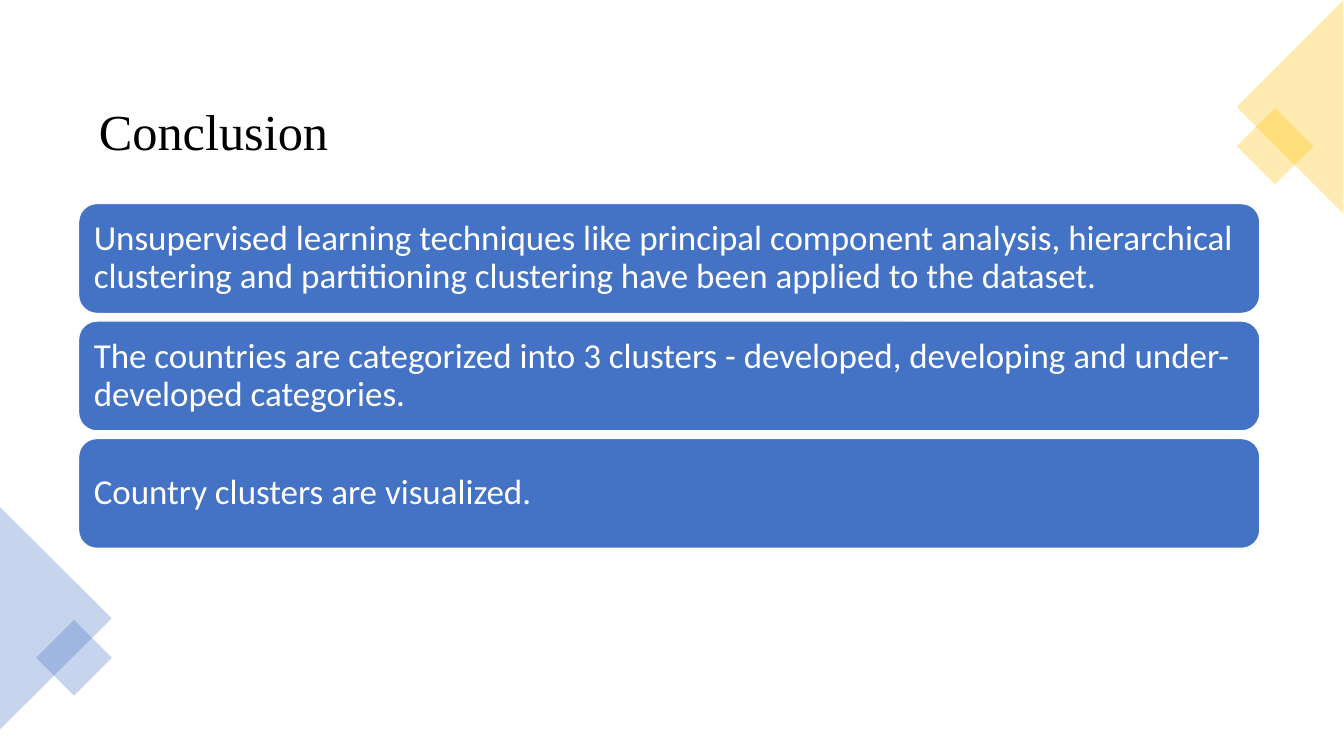
from lxml import etree
from pptx import Presentation
from pptx.dml.color import RGBColor
from pptx.enum import shapes, text
from pptx.oxml.ns import qn
from pptx.util import Cm, Pt

# Content
TITLE = "Conclusion"
POINTS = [
    "Unsupervised learning techniques like principal component analysis, "
    "hierarchical clustering and partitioning clustering have been applied to the dataset.",
    "The countries are categorized into 3 clusters - developed, developing and "
    "under-developed categories.",
    "Country clusters are visualized.",
]
COLORS = {"blue": "4472C4", "gold": "FFC000", "white": "FFFFFF", "black": "000000"}
KIND = shapes.MSO_SHAPE

# Corner decoration: shape, colour, rotation, (left, top, width, height) in cm
CORNERS = [
    (KIND.ISOSCELES_TRIANGLE, "blue", 90, (-1.4, 14.17, 5.61, 2.82)),
    (KIND.RECTANGLE, "blue", 45, (1.19, 15.9, 1.35, 1.35)),
    (KIND.RECTANGLE, "gold", 45, (31.45, 3, 1.37, 1.37)),
    (KIND.ISOSCELES_TRIANGLE, "gold", 270, (29.82, 1.35, 5.38, 2.69)),
]
CORNER_ALPHA = 30

# Stack of bars, in cm
BAR_LEFT, BAR_TOP, BAR_W, BAR_H, BAR_STEP = 1.98, 5.13, 29.77, 2.77, 2.96


def rgb(name):
    return RGBColor.from_string(COLORS[name])


def add_shape(s, kind, color, box):
    sp = s.shapes.add_shape(kind, *map(Cm, box))
    sp.shadow.inherit = False
    sp.fill.solid()
    sp.fill.fore_color.rgb = rgb(color)
    return sp


def set_text(sp, words, font, size, color):
    tf = sp.text_frame
    tf.word_wrap = True
    tf.vertical_anchor = text.MSO_ANCHOR.MIDDLE
    tf.margin_left = tf.margin_right = tf.margin_top = tf.margin_bottom = Cm(0.25)
    p = tf.paragraphs[0]
    p.text = words
    p.alignment = text.PP_ALIGN.LEFT
    p.line_spacing = 0.9
    p.font.name, p.font.size, p.font.color.rgb = font, Pt(size), rgb(color)


prs = Presentation()
prs.slide_width, prs.slide_height = Cm(33.87), Cm(19.05)
s = prs.slides.add_slide(prs.slide_layouts[6])

# Title
title = s.shapes.add_textbox(Cm(2.24), Cm(2.34), Cm(30.28), Cm(2.06))
set_text(title, TITLE, "Times New Roman", 36, "black")

# Translucent corners
for kind, color, rotation, box in CORNERS:
    sp = add_shape(s, kind, color, box)
    sp.rotation = rotation
    sp.line.fill.background()
    clr = sp.fill._xPr.find(qn("a:solidFill"))[0]
    etree.SubElement(clr, qn("a:alpha")).set("val", str(CORNER_ALPHA * 1000))

# Bars
for i, point in enumerate(POINTS):
    bar = add_shape(s, KIND.ROUNDED_RECTANGLE, "blue",
                    (BAR_LEFT, BAR_TOP + i * BAR_STEP, BAR_W, BAR_H))
    bar.line.color.rgb = rgb("white")
    bar.line.width = Pt(1)
    set_text(bar, point, "Calibri", 25, "white")

prs.save("out.pptx")
